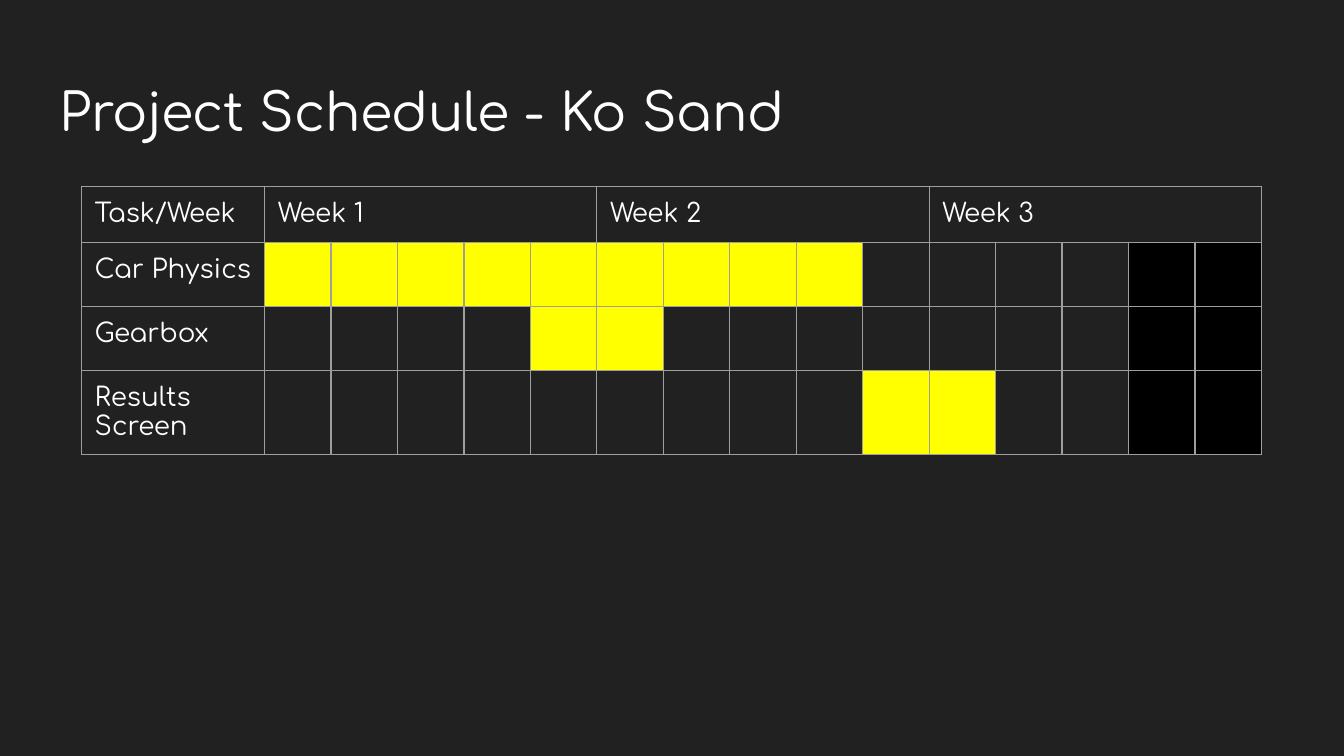
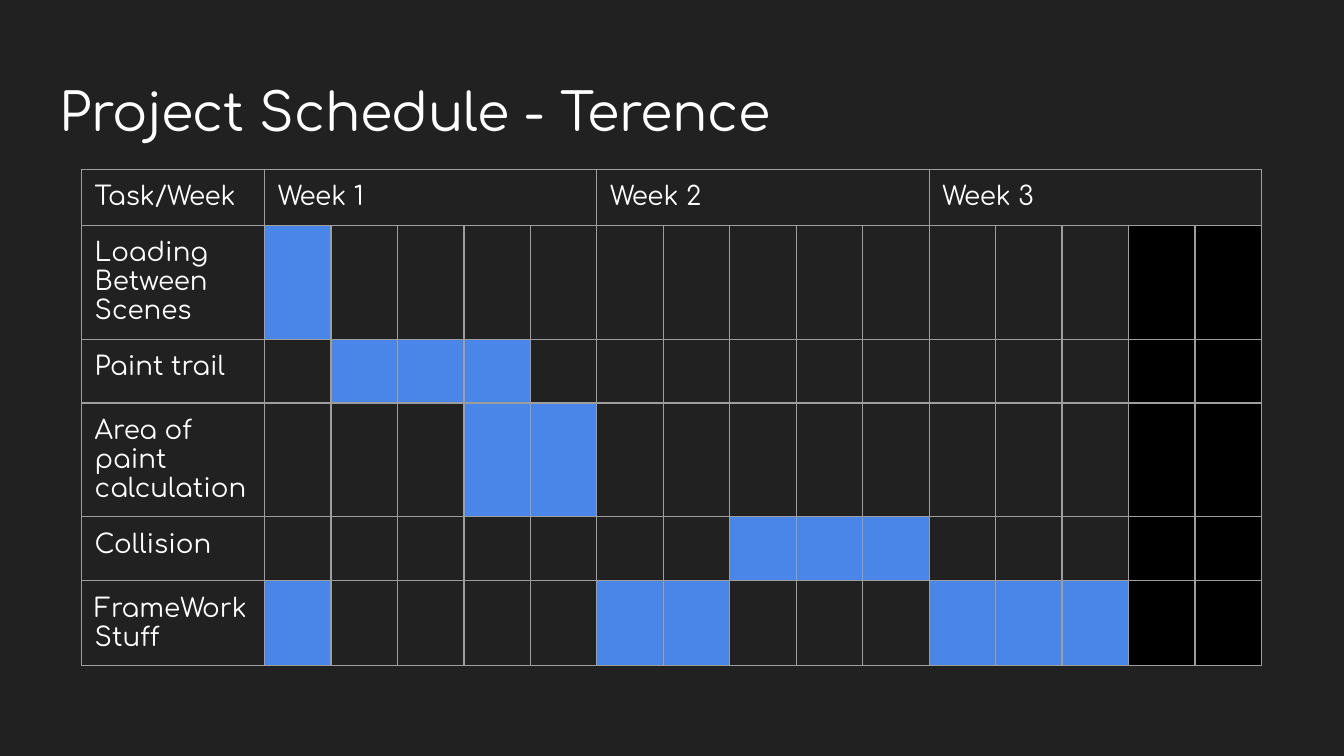
from lxml.etree import SubElement
from pptx import Presentation
from pptx.dml.color import RGBColor as Rgb
from pptx.enum.text import MSO_ANCHOR as Anchor, MSO_AUTO_SIZE as AutoSize, PP_ALIGN as Align
from pptx.oxml import parse_xml
from pptx.oxml.ns import nsdecls, qn
from pptx.util import Cm, Pt

COLORS = {
    "background": "212121",
    "text": "FFFFFF",
    "grid": "9E9E9E",
    "closed": "000000",
    "yellow": "FFFF00",
    "blue": "4A86E8",
}
FONT = "Comfortaa"
INSET = Cm(0.25)
INSETS = {f"margin_{side}": INSET for side in ("left", "right", "top", "bottom")}
WEEKS, DAYS_PER_WEEK = 3, 5
DAYS = WEEKS * DAYS_PER_WEEK
CLOSED_DAYS = (14, 15)
TASK_WIDTH, DAY_WIDTH, ROW_HEIGHT = Cm(3.46), Cm(18.85) // DAYS, Cm(1.06)

# Each task lists its bars as (first day, last day).
SCHEDULES = [
    {
        "title": "Project Schedule - Ko Sand",
        "top": Cm(3.52),
        "color": "yellow",
        "tasks": {
            "Car Physics": [(1, 9)],
            "Gearbox": [(5, 6)],
            "Results Screen": [(10, 11)],
        },
    },
    {
        "title": "Project Schedule - Terence",
        "top": Cm(3.2),
        "color": "blue",
        "tasks": {
            "Loading Between Scenes": [(1, 1)],
            "Paint trail": [(2, 4)],
            "Area of paint calculation": [(4, 5)],
            "Collision": [(8, 10)],
            "FrameWork Stuff": [(1, 1), (6, 7), (11, 13)],
        },
    },
]


def assign(target, values):
    for name, value in values.items():
        setattr(target, name, value)


class ScheduleDeck:
    def __init__(self):
        self.deck = Presentation()
        assign(self.deck, {"slide_width": Cm(25.4), "slide_height": Cm(14.29)})
        self.paint(self.deck.slide_master.background.fill, "background")
        self.page = None

    def paint(self, fill, color):
        fill.solid()
        fill.fore_color.rgb = Rgb.from_string(COLORS[color])

    def add_page(self):
        self.page = self.deck.slides.add_slide(self.deck.slide_layouts[5])

    def add_text(self, frame, text, size):
        para = frame.paragraphs[0]
        para.alignment = Align.LEFT
        span = para.add_run()
        span.text = text
        assign(span.font, {"name": FONT, "size": Pt(size), "bold": False})
        span.font.color.rgb = Rgb.from_string(COLORS["text"])

    def add_title(self, text):
        box = self.page.shapes.title
        assign(box, {"left": Cm(0.87), "top": Cm(1.24),
                     "width": Cm(23.67), "height": Cm(1.59)})
        assign(box.text_frame, INSETS | {
            "vertical_anchor": Anchor.TOP, "auto_size": AutoSize.NONE,
            "word_wrap": True,
        })
        self.add_text(box.text_frame, text, 28)

    def style_cell(self, cell, empty_size):
        """Set insets, grid lines and the text size that gives an empty cell its height."""
        assign(cell, INSETS)
        cell.fill.background()
        properties = cell._tc.get_or_add_tcPr()
        for place, side in enumerate("LRTB"):
            properties.insert(place, parse_xml(
                f'<a:ln{side} {nsdecls("a")} w="{Pt(0.75)}"><a:solidFill>'
                f'<a:srgbClr val="{COLORS["grid"]}"/></a:solidFill></a:ln{side}>'))
        para = cell.text_frame.paragraphs[0]
        ending = SubElement(para._p, qn("a:endParaRPr"), sz=str(empty_size * 100))
        SubElement(ending, qn("a:latin"), typeface=FONT)

    def add_schedule(self, top, color, tasks):
        row_count = len(tasks) + 1
        table = self.page.shapes.add_table(
            row_count, DAYS + 1, Cm(1.54), top,
            TASK_WIDTH + DAYS * DAY_WIDTH, row_count * ROW_HEIGHT).table
        assign(table, {"first_row": False, "horz_banding": False})
        for index, column in enumerate(table.columns):
            column.width = DAY_WIDTH if index else TASK_WIDTH
        for index, row in enumerate(table.rows):
            row.height = ROW_HEIGHT
            for cell in row.cells:
                self.style_cell(cell, 18 if index else 14)

        self.add_text(table.cell(0, 0).text_frame, "Task/Week", 14)
        for week in range(WEEKS):
            first = week * DAYS_PER_WEEK + 1
            header = table.cell(0, first)
            header.merge(table.cell(0, first + DAYS_PER_WEEK - 1))
            self.add_text(header.text_frame, f"Week {week + 1}", 14)

        for row, (task, bars) in enumerate(tasks.items(), start=1):
            self.add_text(table.cell(row, 0).text_frame, task, 14)
            for first, last in bars:
                for day in range(first, last + 1):
                    self.paint(table.cell(row, day).fill, color)
            for day in CLOSED_DAYS:
                self.paint(table.cell(row, day).fill, "closed")


def main():
    builder = ScheduleDeck()
    for schedule in SCHEDULES:
        builder.add_page()
        builder.add_title(schedule["title"])
        builder.add_schedule(schedule["top"], schedule["color"], schedule["tasks"])
    builder.deck.save("out.pptx")


if __name__ == "__main__":
    main()
